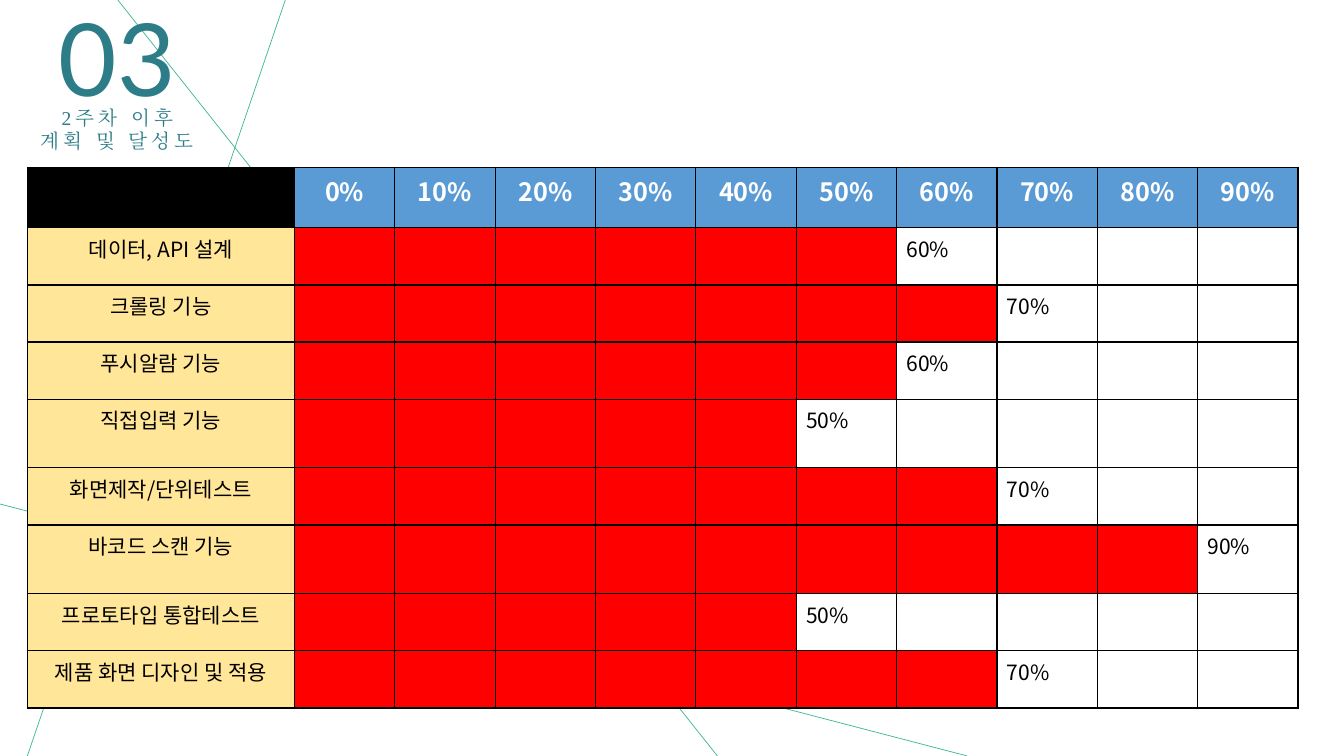
from typing import NamedTuple

from lxml.etree import SubElement
from pptx import Presentation
from pptx.dml.color import RGBColor
from pptx.enum.shapes import MSO_CONNECTOR as Connector
from pptx.enum.text import MSO_AUTO_SIZE as AutoSize, PP_ALIGN as Align
from pptx.oxml.ns import qn
from pptx.slide import Slide
from pptx.table import _Cell as Cell
from pptx.text.text import TextFrame
from pptx.util import Cm, Pt

BLACK = RGBColor(0x00, 0x00, 0x00)
WHITE = RGBColor(0xFF, 0xFF, 0xFF)
RED = RGBColor(0xFF, 0x00, 0x00)
BLUE = RGBColor(0x5B, 0x9B, 0xD5)
CREAM = RGBColor(0xFF, 0xE6, 0x99)
TEAL = RGBColor(0x2C, 0x7D, 0x88)
GREEN = RGBColor(0x3D, 0xB6, 0x92)

TABLE_FONT = "Noto Sans CJK KR"
STEPS = 10


class Line(NamedTuple):
    begin_x: float
    begin_y: float
    end_x: float
    end_y: float


class Heading(NamedTuple):
    text: str
    left: float
    top: float
    width: float
    height: float
    size: float
    font: str
    spacing: float


class Task(NamedTuple):
    name: str
    percent: int
    height: float = 1.44


LINES = [
    Line(0.69, 19.05, 7.19, 0),
    Line(18.08, 19.05, 2.97, 0),
    Line(0, 12.7, 24.38, 19.05),
]

HEADINGS = [
    Heading("03", 0.58, -0.23, 4.75, 3.33, 72, "Lato", 0),
    Heading("2주차 이후\n계획 및 달성도", -0.89, 2.54, 7.7, 1.45, 14, "Times New Roman", 3),
]

TASKS = [
    Task("데이터, API 설계", 60),
    Task("크롤링 기능", 70),
    Task("푸시알람 기능", 60),
    Task("직접입력 기능", 50, 1.73),
    Task("화면제작/단위테스트", 70),
    Task("바코드 스캔 기능", 90, 1.73),
    Task("프로토타입 통합테스트", 50),
    Task("제품 화면 디자인 및 적용", 70),
]


def write_text(frame: TextFrame, text: str, *, size: float, font: str, color: RGBColor,
               align: Align = Align.CENTER, bold: bool = False, spacing: float = 0) -> None:
    for index, content in enumerate(text.split("\n")):
        paragraph = frame.add_paragraph() if index else frame.paragraphs[0]
        paragraph.alignment = align
        run = paragraph.add_run()
        run.text = content
        run.font.size = Pt(size)
        run.font.bold = bold
        run.font.color.rgb = color
        run.font.name = font
        properties = run._r.get_or_add_rPr()
        SubElement(properties, qn("a:ea"), typeface=font)
        if spacing:
            properties.set("spc", str(round(spacing * 100)))


def draw_line(slide: Slide, line: Line) -> None:
    connector = slide.shapes.add_connector(Connector.STRAIGHT, *map(Cm, line))
    connector.line.color.rgb = GREEN
    connector.line.width = Pt(0.5)
    SubElement(connector._element.spPr, qn("a:effectLst"))


def draw_heading(slide: Slide, heading: Heading) -> None:
    box = slide.shapes.add_textbox(Cm(heading.left), Cm(heading.top),
                                   Cm(heading.width), Cm(heading.height))
    box.text_frame.word_wrap = True
    box.text_frame.auto_size = AutoSize.SHAPE_TO_FIT_TEXT
    write_text(box.text_frame, heading.text, size=heading.size, font=heading.font,
               color=TEAL, spacing=heading.spacing)


def style_cell(cell: Cell, fill: RGBColor) -> None:
    properties = cell._tc.get_or_add_tcPr()
    for side in ("lnL", "lnR", "lnT", "lnB"):
        border = SubElement(properties, qn(f"a:{side}"), w=str(Pt(1)))
        border_fill = SubElement(border, qn("a:solidFill"))
        SubElement(border_fill, qn("a:srgbClr"), val=str(BLACK))
    cell.fill.solid()
    cell.fill.fore_color.rgb = fill


def draw_progress_table(slide: Slide) -> None:
    heights = [1.52, *(task.height for task in TASKS)]
    widths = [6.73] + [2.53] * STEPS
    table = slide.shapes.add_table(len(heights), len(widths), Cm(0.69), Cm(4.22),
                                   Cm(sum(widths)), Cm(sum(heights))).table
    table.first_row = False
    table.horz_banding = False
    for column, width in zip(table.columns, widths):
        column.width = Cm(width)
    for row, height in zip(table.rows, heights):
        row.height = Cm(height)

    style_cell(table.cell(0, 0), BLACK)
    for step in range(STEPS):
        header = table.cell(0, step + 1)
        style_cell(header, BLUE)
        write_text(header.text_frame, f"{step * 10}%", size=18, font=TABLE_FONT,
                   color=WHITE, bold=True)

    for row_index, task in enumerate(TASKS, start=1):
        label = table.cell(row_index, 0)
        style_cell(label, CREAM)
        write_text(label.text_frame, task.name, size=15, font=TABLE_FONT, color=BLACK)
        done = task.percent // 10
        for step in range(STEPS):
            style_cell(table.cell(row_index, step + 1), RED if step < done else WHITE)
        write_text(table.cell(row_index, done + 1).text_frame, f"{task.percent}%", size=15,
                   font=TABLE_FONT, color=BLACK, align=Align.LEFT)


def main() -> None:
    presentation = Presentation()
    presentation.slide_width = Cm(33.87)
    presentation.slide_height = Cm(19.05)
    slide = presentation.slides.add_slide(presentation.slide_layouts[6])
    for line in LINES:
        draw_line(slide, line)
    for heading in HEADINGS:
        draw_heading(slide, heading)
    draw_progress_table(slide)
    presentation.save("out.pptx")


if __name__ == "__main__":
    main()
